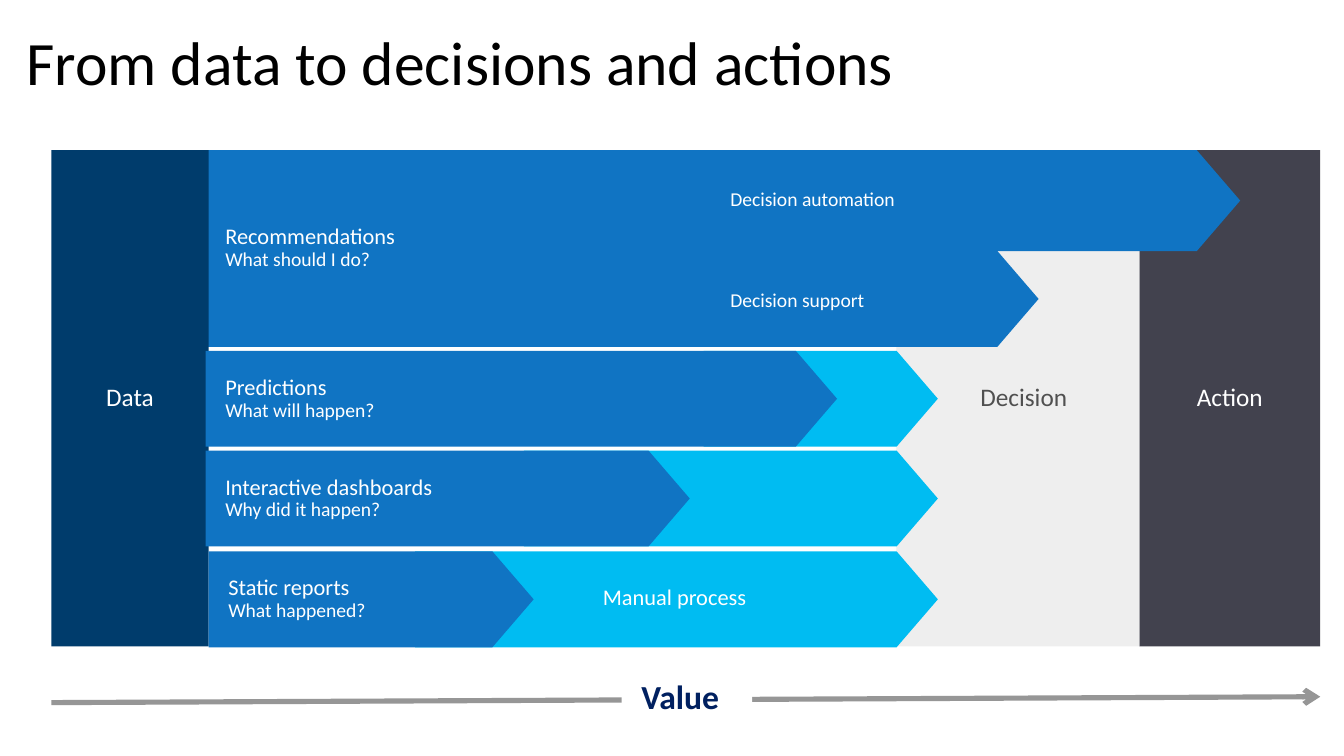
import collections
import dataclasses

import lxml.etree
import pptx
import pptx.dml.color
import pptx.enum.shapes
import pptx.enum.text
import pptx.oxml
import pptx.oxml.ns
import pptx.util

EMU_PER_PX = 9144
SHAPES = pptx.enum.shapes.MSO_SHAPE
ANCHORS = pptx.enum.text.MSO_ANCHOR
ALIGNS = pptx.enum.text.PP_ALIGN
Box = collections.namedtuple("Box", "left top width height")


@dataclasses.dataclass(frozen=True)
class Theme:
    """Colours and type sizes of the slide."""

    font: str = "Calibri"
    black: str = "000000"
    white: str = "FFFFFF"
    navy: str = "003C6C"
    blue: str = "1074C3"
    cyan: str = "00BCF2"
    pale: str = "EEEEEE"
    slate: str = "42424E"
    grey_text: str = "505050"
    value_text: str = "002060"
    arrow: str = "969696"
    title: float = 44.9
    value: float = 24.5
    stage: float = 18.4
    heading: float = 16.3
    detail: float = 14.3


THEME = Theme()


def px(length):
    """Turn px into EMU."""
    return pptx.util.Emu(length * EMU_PER_PX)


def rgb(colour):
    """Turn a hex string into a colour."""
    return pptx.dml.color.RGBColor.from_string(colour)


def within(box, left, top, width, height):
    """Return a box whose position is counted from the corner of another."""
    return Box(box.left + left, box.top + top, width, height)


def write(holder, lines, colour=THEME.white, align=ALIGNS.LEFT,
          anchor=ANCHORS.MIDDLE, insets=(20, 16, 20, 16), bold=False):
    """Write (text, size) lines into a shape."""
    frame = holder.text_frame
    frame.word_wrap = True
    frame.vertical_anchor = anchor
    frame.margin_left, frame.margin_top, frame.margin_right, frame.margin_bottom = map(px, insets)
    for index, (text, size) in enumerate(lines):
        paragraph = frame.add_paragraph() if index else frame.paragraphs[0]
        paragraph.text = text
        paragraph.alignment = align
        paragraph.line_spacing = 0.9
        paragraph.font.name = THEME.font
        paragraph.font.size = pptx.util.Pt(size)
        paragraph.font.bold = bold
        paragraph.font.color.rgb = rgb(colour)


def add_block(slide, box, fill, preset=SHAPES.RECTANGLE):
    """Add a filled shape without outline."""
    block = slide.shapes.add_shape(preset, *map(px, box))
    block.shadow.inherit = False
    block.fill.solid()
    block.fill.fore_color.rgb = rgb(fill)
    block.line.fill.background()
    if preset == SHAPES.PENTAGON:
        block.adjustments[0] = 0.43
    return block


def add_label(slide, box, text, size, **style):
    """Add a one-line text box."""
    label = slide.shapes.add_textbox(*map(px, box))
    write(label, [(text, size)], **style)


def add_stage(slide, box, text, fill, colour=THEME.white, left_inset=20):
    """Add a full-height column with a centred name."""
    stage = add_block(slide, box, fill)
    write(stage, [(text, THEME.stage)], colour, ALIGNS.CENTER,
          insets=(left_inset, 16, 20, 16))


def add_analysis(slide, box, heading, question, reach, manual_start):
    """Add a row with an analysis arrow lying over its manual process arrow."""
    manual = within(box, manual_start, 0, box.width - manual_start, box.height)
    add_block(slide, manual, THEME.cyan, SHAPES.PENTAGON)
    analysis = add_block(slide, box._replace(width=reach), THEME.blue, SHAPES.PENTAGON)
    write(analysis, [(heading, THEME.heading), (question, THEME.detail)])


def add_recommendations(slide, box):
    """Add the recommendations block with its two decision arrows."""
    support = within(box, 0, 102, 843, 97)
    automation = within(box, 0, 0, box.width, 102)
    for arrow in (support, automation):
        add_block(slide, arrow, THEME.blue, SHAPES.PENTAGON)
    recommendations = add_block(slide, box._replace(width=459), THEME.blue)
    write(recommendations, [("Recommendations", THEME.heading),
                            ("What should I do?", THEME.detail)])
    for text, arrow in (("Decision automation", automation), ("Decision support", support)):
        add_label(slide, within(arrow, 511, 23, 230, 55), text, THEME.detail)


def add_process(slide, box):
    """Add the stages from data to action and the analysis rows between them."""
    add_stage(slide, within(box, 1101, 0, 183, box.height), "Action", THEME.slate)
    add_stage(slide, within(box, 855, 0, 246, box.height), "Decision", THEME.pale,
              THEME.grey_text, left_inset=32)
    row_left, row_right, row_height = 156, 897, 97
    add_recommendations(slide, within(box, row_left, 0, 1047, 198))
    add_stage(slide, within(box, 0, 0, 159, box.height), "Data", THEME.navy)
    analyses = (
        (156, "Predictions", "What will happen?", 639, 504),
        (156, "Interactive dashboards", "Why did it happen?", 490, 322),
        (159, "Static reports", "What happened?", 329, 209),
    )
    for index, (left, *analysis) in enumerate(analyses):
        top = 203 + index * 203 // 2
        row = within(box, left, top, row_right - left, row_height)
        add_analysis(slide, row, *analysis)
    add_label(slide, within(box, 538, 429, 375, 58), "Manual process", THEME.heading,
              anchor=ANCHORS.TOP)


def add_value_arrow(slide, box):
    """Add the value arrow with its name set in a gap."""
    arrow = slide.shapes.add_connector(
        pptx.enum.shapes.MSO_CONNECTOR.STRAIGHT, px(box.left), px(box.top + 38),
        px(box.left + box.width), px(box.top + 32))
    arrow.line.color.rgb = rgb(THEME.arrow)
    arrow.line.width = pptx.util.Pt(3.75)
    lxml.etree.SubElement(arrow.line._get_or_add_ln(), pptx.oxml.ns.qn("a:tailEnd"), type="arrow")
    lxml.etree.SubElement(arrow._element.spPr, pptx.oxml.ns.qn("a:effectLst"))
    value = add_block(slide, within(box, 577, 0, 132, box.height), THEME.white)
    write(value, [("Value", THEME.value)], THEME.value_text, anchor=ANCHORS.TOP, bold=True)


def main():
    """Build and save the slide."""
    deck = pptx.Presentation()
    deck.slide_width, deck.slide_height = px(1360), px(765)
    slide = deck.slides.add_slide(deck.slide_layouts[6])
    add_label(slide, Box(17, 19, 1326, 95), "From data to decisions and actions",
              THEME.title, colour=THEME.black, insets=(10, 5, 10, 5))
    add_process(slide, Box(52, 152, 1284, 502))
    add_value_arrow(slide, Box(52, 673, 1284, 71))
    deck.save("out.pptx")


if __name__ == "__main__":
    main()
